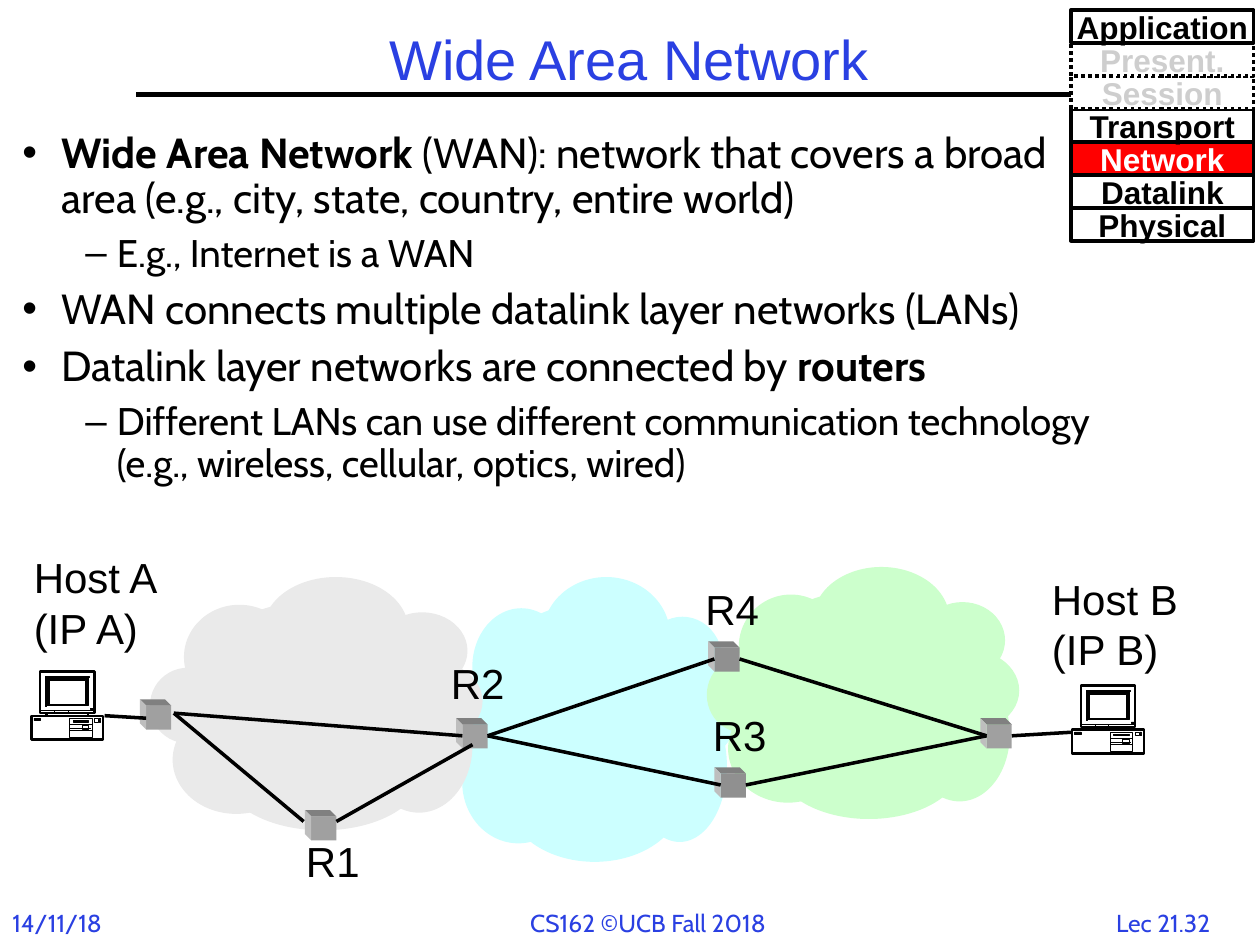
from lxml.etree import SubElement
from pptx import Presentation
from pptx.dml.color import RGBColor
from pptx.enum.dml import MSO_LINE
from pptx.enum.shapes import MSO_CONNECTOR as Connector, MSO_SHAPE as Shape
from pptx.enum.text import MSO_ANCHOR as Anchor, MSO_AUTO_SIZE as AutoSize, PP_ALIGN as Align
from pptx.oxml.ns import qn
from pptx.util import Inches, Pt

COLORS = {name: RGBColor.from_string(value) for name, value in {
    "black": "000000", "white": "FFFFFF", "blue": "2A40E2", "red": "FF0000",
    "faded": "CECECE", "gray": "EAEAEA", "cyan": "CCFFFF", "green": "CCFFCC",
    "front": "A0A0A0", "dark_front": "909090", "top": "808080", "side": "BEBEBE",
}.items()}


def add_line(shapes, start, end, weight):
    line = shapes.add_connector(Connector.STRAIGHT, *map(Inches, start + end))
    line.line.color.rgb = COLORS["black"]
    line.line.width = Pt(weight)
    SubElement(line._element.spPr, qn("a:effectLst"))


def add_outline(shapes, origin, contours, fill, weight=0):
    left, top = origin
    contours = [[(Inches(left + x), Inches(top + y)) for x, y in contour] for contour in contours]
    builder = shapes.build_freeform(*contours[0][0])
    for index, contour in enumerate(contours):
        if index:
            builder.move_to(*contour[0])
        builder.add_line_segments(contour[1:], close=True)
    outline = builder.convert_to_shape()
    outline.shadow.inherit = False
    outline.fill.solid()
    outline.fill.fore_color.rgb = COLORS[fill]
    if weight:
        outline.line.color.rgb = COLORS["black"]
        outline.line.width = Pt(weight)
    else:
        outline.line.fill.background()


deck = Presentation()
deck.slide_width, deck.slide_height = Inches(10), Inches(7.5)
page = deck.slides.add_slide(deck.slide_layouts[6])

add_line(page.shapes, (1.08, 0.75), (8.92, 0.75), 3)

puffs = [
    (0.9, 0, 1.15, 0.83), (0.27, 0.22, 0.88, 0.83), (0, 0.72, 0.6, 0.6),
    (0.18, 1.02, 1.01, 0.86), (0.59, 1.14, 1.56, 0.87), (1.8, 0.28, 0.72, 0.61),
    (1.79, 0.66, 0.85, 0.65), (1.71, 0.8, 0.85, 1.07), (0.19, 0.18, 2.35, 1.79),
]
clouds = [
    ("cyan", 3.51, 4.58, 2.33, 2.26),
    ("gray", 1.19, 4.58, 2.64, 2.01),
    ("green", 5.61, 4.5, 2.48, 2),
]
for color, left, top, width, height in clouds:
    cloud = page.shapes.add_group_shape()
    across, down = width / 2.64, height / 2.01
    for x, y, puff_width, puff_height in puffs:
        puff = cloud.shapes.add_shape(
            Shape.OVAL, Inches(left + x * across), Inches(top + y * down),
            Inches(puff_width * across), Inches(puff_height * down))
        puff.shadow.inherit = False
        puff.fill.solid()
        puff.fill.fore_color.rgb = COLORS[color]
        puff.line.fill.background()

layers = ["Application", "Present.", "Session", "Transport", "Network", "Datalink", "Physical"]
pitch = 1.57 / 6
for index, name in reversed(list(enumerate(layers))):
    layer = page.shapes.add_shape(
        Shape.RECTANGLE, Inches(8.5), Inches(0.08 + index * pitch), Inches(1.45), Inches(pitch))
    layer.shadow.inherit = False
    unused, current = name in ("Present.", "Session"), name == "Network"
    layer.fill.solid()
    layer.fill.fore_color.rgb = COLORS["red" if current else "white"]
    layer.line.color.rgb = COLORS["black"]
    layer.line.width = Pt(2)
    if unused:
        layer.line.dash_style = MSO_LINE.ROUND_DOT
    frame = layer.text_frame
    frame.word_wrap = False
    frame.vertical_anchor = Anchor.MIDDLE
    para = frame.paragraphs[0]
    para.alignment = Align.CENTER
    span = para.add_run()
    span.text = name
    span.font.name, span.font.size, span.font.bold = "Arial", Pt(18), True
    span.font.color.rgb = COLORS["white" if current else "faded" if unused else "black"]

routers = [
    (1.16, 5.6, "front"), (3.67, 5.75, "front"), (7.83, 5.75, "front"),
    (5.72, 6.14, "dark_front"), (5.67, 5.14, "dark_front"), (2.47, 6.48, "front"),
]
width, height, depth = 0.2, 0.19, 0.05
top_face = [(0, 0), (-depth, -depth), (width - depth, -depth), (width, 0)]
side_face = [(0, 0), (-depth, -depth), (-depth, height - depth), (0, height)]
for left, top, color in routers:
    router = page.shapes.add_group_shape()
    front = router.shapes.add_shape(
        Shape.RECTANGLE, Inches(left), Inches(top), Inches(width), Inches(height))
    front.shadow.inherit = False
    front.fill.solid()
    front.fill.fore_color.rgb = COLORS[color]
    front.line.fill.background()
    add_outline(router.shapes, (left, top), [top_face], "top")
    add_outline(router.shapes, (left, top), [side_face], "side")

links = [
    ((0.83, 5.68), (1.16, 5.7)), ((1.38, 5.66), (3.67, 5.84)),
    ((1.38, 5.66), (2.41, 6.52)), ((2.67, 6.52), (3.75, 5.91)),
    ((3.87, 5.84), (5.72, 6.23)), ((3.87, 5.84), (5.67, 5.23)),
    ((5.92, 6.23), (7.83, 5.84)), ((5.87, 5.23), (7.83, 5.84)),
    ((8.03, 5.84), (8.53, 5.81)),
]
for start, end in links:
    add_line(page.shapes, start, end, 2)

case = [(0.12, 0.35), (0, 0.35), (0, 0.54), (0.57, 0.54), (0.57, 0.35), (0.45, 0.35),
        (0.45, 0.33), (0.5, 0.33), (0.5, 0), (0.07, 0), (0.07, 0.33), (0.12, 0.33)]
bezel = [(0.12, 0.27), (0.45, 0.27), (0.45, 0.05), (0.46, 0.05),
         (0.46, 0.04), (0.11, 0.04), (0.11, 0.28), (0.12, 0.28)]
drives, details = [
    [[(x1, y1), (x2, y1), (x2, y2), (x1, y2)] for x1, y1, x2, y2 in areas]
    for areas in (
        [(0.3, 0.37, 0.48, 0.52), (0.5, 0.37, 0.53, 0.4)],
        [(0.47, 0.29, 0.49, 0.3), (0.14, 0.07, 0.43, 0.26), (0.02, 0.37, 0.07, 0.39),
         (0.33, 0.39, 0.45, 0.4), (0.54, 0.37, 0.55, 0.38), (0.54, 0.39, 0.55, 0.4)],
    )
]
strokes = [
    (0.12, 0.35, 0.45, 0.35, 1.25), (0.12, 0.33, 0.45, 0.33, 1.25),
    (0.3, 0.42, 0.48, 0.42, 0.38), (0.3, 0.47, 0.48, 0.47, 0.38),
    (0.3, 0.45, 0.47, 0.45, 0.38), (0.07, 0.31, 0.5, 0.31, 0.38),
    (0.18, 0.33, 0.18, 0.31, 0.38), (0.29, 0.33, 0.29, 0.31, 0.38),
]
for left, top in [(0.25, 5.33), (8.51, 5.44)]:
    computer = page.shapes.add_group_shape()
    add_outline(computer.shapes, (left, top), [case], "white", 1.25)
    add_outline(computer.shapes, (left, top), drives, "white", 0.38)
    add_outline(computer.shapes, (left, top), [bezel] + details, "black", 0.38)
    for x1, y1, x2, y2, weight in strokes:
        add_line(computer.shapes, (left + x1, top + y1), (left + x2, top + y2), weight)
    button = computer.shapes.add_shape(
        Shape.RECTANGLE, Inches(left + 0.4), Inches(top + 0.43), Inches(0.05), Inches(0.03))
    button.shadow.inherit = False
    button.fill.background()
    button.line.color.rgb = COLORS["black"]
    button.line.width = Pt(0.38)

title_style = ("Arial", 32, "blue", Align.CENTER)
footer_style = ("Cabin", 14, "blue", Align.LEFT)
label_style = ("Arial", 24, "black", Align.LEFT)
texts = [
    (["Wide Area Network"], 1.08, 0.17, 7.83, 0.58, title_style),
    (["14/11/18"], 0, 7.16, 1, 0.34, footer_style),
    (["CS162 ©UCB Fall 2018"], 4.11, 7.16, 2.08, 0.34, footer_style),
    (["Lec 21.32"], 8.76, 7.16, 1.03, 0.34, footer_style),
    (["Host A", "(IP A)"], 0.17, 4.33, 1.2, 0.91, label_style),
    (["Host B", "(IP B)"], 8.25, 4.5, 1.21, 0.91, label_style),
    (["R1"], 2.33, 6.58, 0.63, 0.51, label_style),
    (["R2"], 3.48, 5.17, 0.63, 0.51, label_style),
    (["R3"], 5.56, 5.58, 0.63, 0.51, label_style),
    (["R4"], 5.5, 4.58, 0.63, 0.51, label_style),
]
for lines, left, top, width, height, (font, size, color, alignment) in texts:
    box = page.shapes.add_textbox(Inches(left), Inches(top), Inches(width), Inches(height))
    frame = box.text_frame
    is_title = alignment == Align.CENTER
    frame.word_wrap = is_title
    frame.auto_size = AutoSize.NONE if is_title else AutoSize.SHAPE_TO_FIT_TEXT
    frame.vertical_anchor = Anchor.MIDDLE if is_title else Anchor.TOP
    for index, line in enumerate(lines):
        para = frame.add_paragraph() if index else frame.paragraphs[0]
        para.alignment = alignment
        span = para.add_run()
        span.text = line
        span.font.name, span.font.size = font, Pt(size)
        span.font.color.rgb = COLORS[color]

points = [
    (0, [("Wide Area Network", True),
         (" (WAN): network that covers a broad area (e.g., city, state, country, entire world)", False)]),
    (1, [("E.g., Internet is a WAN", False)]),
    (0, [("WAN connects multiple datalink layer networks (LANs)", False)]),
    (0, [("Datalink layer networks are connected by ", False), ("routers", True)]),
    (1, [("Different LANs can use different communication technology "
          "(e.g., wireless, cellular, optics, wired)", False)]),
]
levels = [("•", 0.31, 0.31, 24, 7), ("–", 0.75, 0.25, 22, 6.5)]
box = page.shapes.add_textbox(Inches(0.08), Inches(1), Inches(8.67), Inches(3.17))
frame = box.text_frame
frame.word_wrap = True
for index, (level, spans) in enumerate(points):
    bullet, indent, hanging, size, gap = levels[level]
    para = frame.add_paragraph() if index else frame.paragraphs[0]
    para.level = level
    para.line_spacing = 0.9
    para.space_before = Pt(gap if index else 0)
    properties = para._p.get_or_add_pPr()
    properties.set("marL", str(Inches(indent)))
    properties.set("indent", str(-Inches(hanging)))
    SubElement(properties, qn("a:buFont"), typeface="Arial")
    SubElement(properties, qn("a:buChar"), char=bullet)
    for text, bold in spans:
        span = para.add_run()
        span.text = text
        span.font.name, span.font.size, span.font.bold = "Cabin", Pt(size), bold
        span.font.color.rgb = COLORS["black"]

deck.save("out.pptx")
